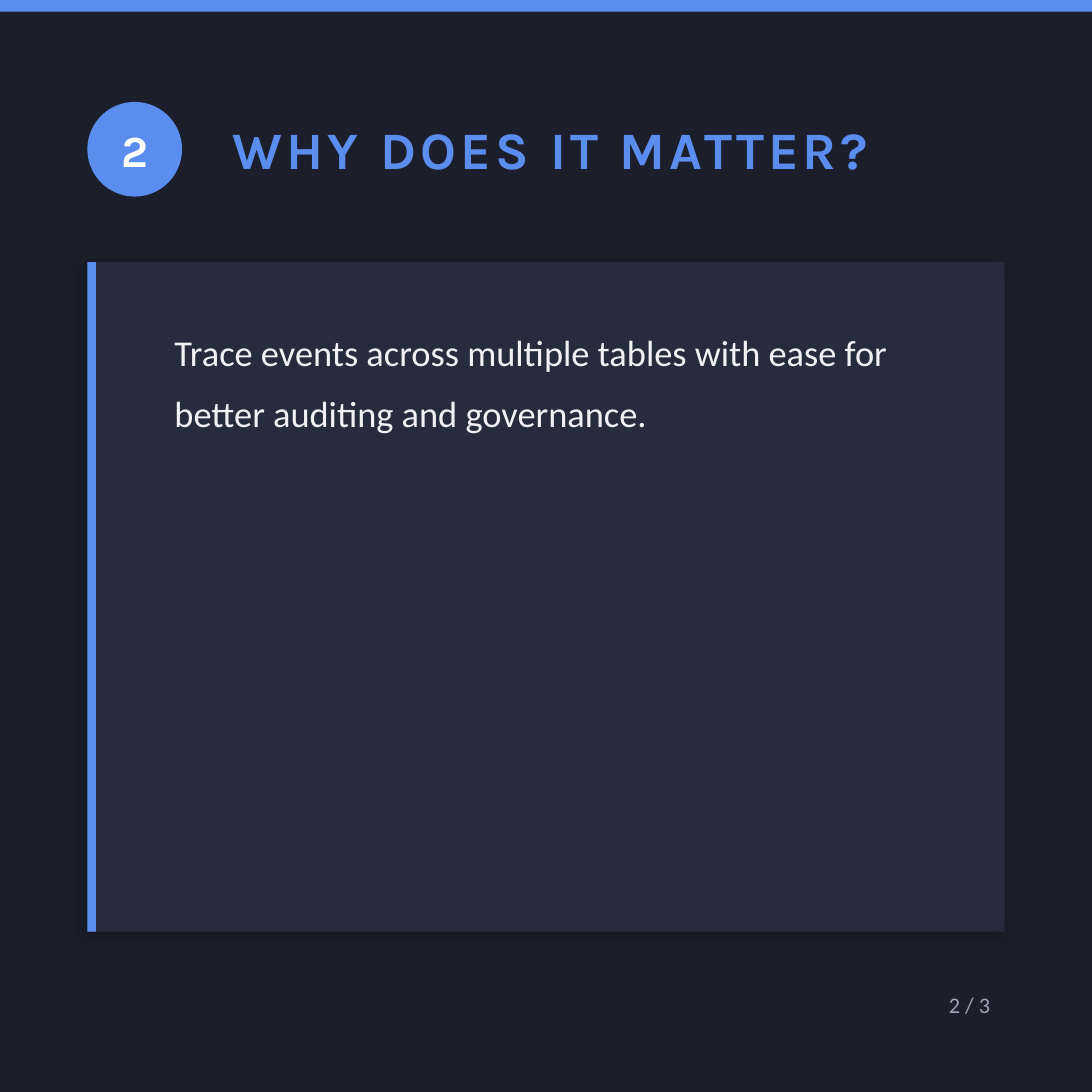
from lxml import etree
from pptx import Presentation
from pptx.dml.color import RGBColor
from pptx.enum.shapes import MSO_SHAPE
from pptx.enum.text import MSO_ANCHOR, MSO_AUTO_SIZE, PP_ALIGN
from pptx.oxml.ns import qn
from pptx.util import Pt

RECTANGLE, OVAL = MSO_SHAPE.RECTANGLE, MSO_SHAPE.OVAL
TOP, MIDDLE = MSO_ANCHOR.TOP, MSO_ANCHOR.MIDDLE
LEFT, CENTER, RIGHT = PP_ALIGN.LEFT, PP_ALIGN.CENTER, PP_ALIGN.RIGHT
NO_AUTOFIT = MSO_AUTO_SIZE.NONE

COLORS = {
    "background": "1B1F2B",
    "accent": "5B8DEF",
    "card": "262B3D",
    "white": "FFFFFF",
    "body": "F0F0F5",
    "muted": "A0A4B8",
    "shadow": "000000",
}
HEADING_FONT, BODY_FONT = "Karla", "Calibri"
SIDE = 540
MARGIN = 43.2
CONTENT_WIDTH = SIDE - 2 * MARGIN
CARD_TOP, CARD_HEIGHT = 129.6, 331.2


def rgb(name):
    return RGBColor.from_string(COLORS[name])


class CardSlide:
    def __init__(self, deck):
        self.slide = deck.slides.add_slide(deck.slide_layouts[5])
        fill = self.slide.background.fill
        fill.solid()
        fill.fore_color.rgb = rgb("background")

    def block(self, kind, box, color):
        block = self.slide.shapes.add_shape(kind, *map(Pt, box))
        block.shadow.inherit = False
        block.fill.solid()
        block.fill.fore_color.rgb = rgb(color)
        block.line.fill.background()
        return block

    def cast_shadow(self, block, blur, distance, degrees, opacity):
        effects = block._element.spPr.find(qn("a:effectLst"))
        outer = etree.SubElement(
            effects, qn("a:outerShdw"), blurRad=str(Pt(blur)), dist=str(Pt(distance)),
            dir=str(degrees * 60000), algn="bl", rotWithShape="0")
        tint = etree.SubElement(outer, qn("a:srgbClr"), val=COLORS["shadow"])
        etree.SubElement(tint, qn("a:alpha"), val=str(opacity * 1000))

    def set_text(self, holder, text, font, size, color, bold=False,
                 align=LEFT, anchor=MIDDLE, line_spacing=1.0):
        frame = holder.text_frame
        frame.text = text
        paragraph = frame.paragraphs[0]
        run = paragraph.runs[0]
        formats = (
            (frame, {"word_wrap": True, "auto_size": NO_AUTOFIT, "vertical_anchor": anchor}),
            (paragraph, {"alignment": align, "line_spacing": line_spacing}),
            (run.font, {"name": font, "size": Pt(size), "bold": bold}),
        )
        for target, values in formats:
            for name, value in values.items():
                setattr(target, name, value)
        run.font.color.rgb = rgb(color)
        return run

    def title(self, box, text, size, color, spacing):
        heading = self.slide.shapes.title
        for side, length in zip(("left", "top", "width", "height"), box):
            setattr(heading, side, Pt(length))
        run = self.set_text(heading, text, HEADING_FONT, size, color, bold=True)
        run._r.get_or_add_rPr().set("spc", str(spacing * 100))

    def text(self, box, text, size, color, **style):
        holder = self.slide.shapes.add_textbox(*map(Pt, box))
        self.set_text(holder, text, BODY_FONT, size, color, **style)


def main():
    deck = Presentation()
    deck.slide_width = deck.slide_height = Pt(SIDE)
    page = CardSlide(deck)

    page.block(RECTANGLE, (0, 0, SIDE, 5.76), "accent")
    badge = page.block(OVAL, (MARGIN, 50.4, 46.8, 46.8), "accent")
    page.set_text(badge, "2", HEADING_FONT, 22, "white", bold=True, align=CENTER)
    page.title((108, 51.84, 388.8, 43.2), "WHY DOES IT MATTER?", 26, "accent", spacing=2)

    card = page.block(RECTANGLE, (MARGIN, CARD_TOP, CONTENT_WIDTH, CARD_HEIGHT), "card")
    page.cast_shadow(card, blur=8, distance=3, degrees=135, opacity=25)
    page.block(RECTANGLE, (MARGIN, CARD_TOP, 4.32, CARD_HEIGHT), "accent")
    page.text((79.2, 151.2, 396, 288),
              "Trace events across multiple tables with ease for better auditing and governance.",
              18, "body", anchor=TOP, line_spacing=1.4)
    page.text((MARGIN, 482.4, CONTENT_WIDTH, 28.8), "2 / 3", 11, "muted", align=RIGHT)

    deck.save("out.pptx")


if __name__ == "__main__":
    main()
